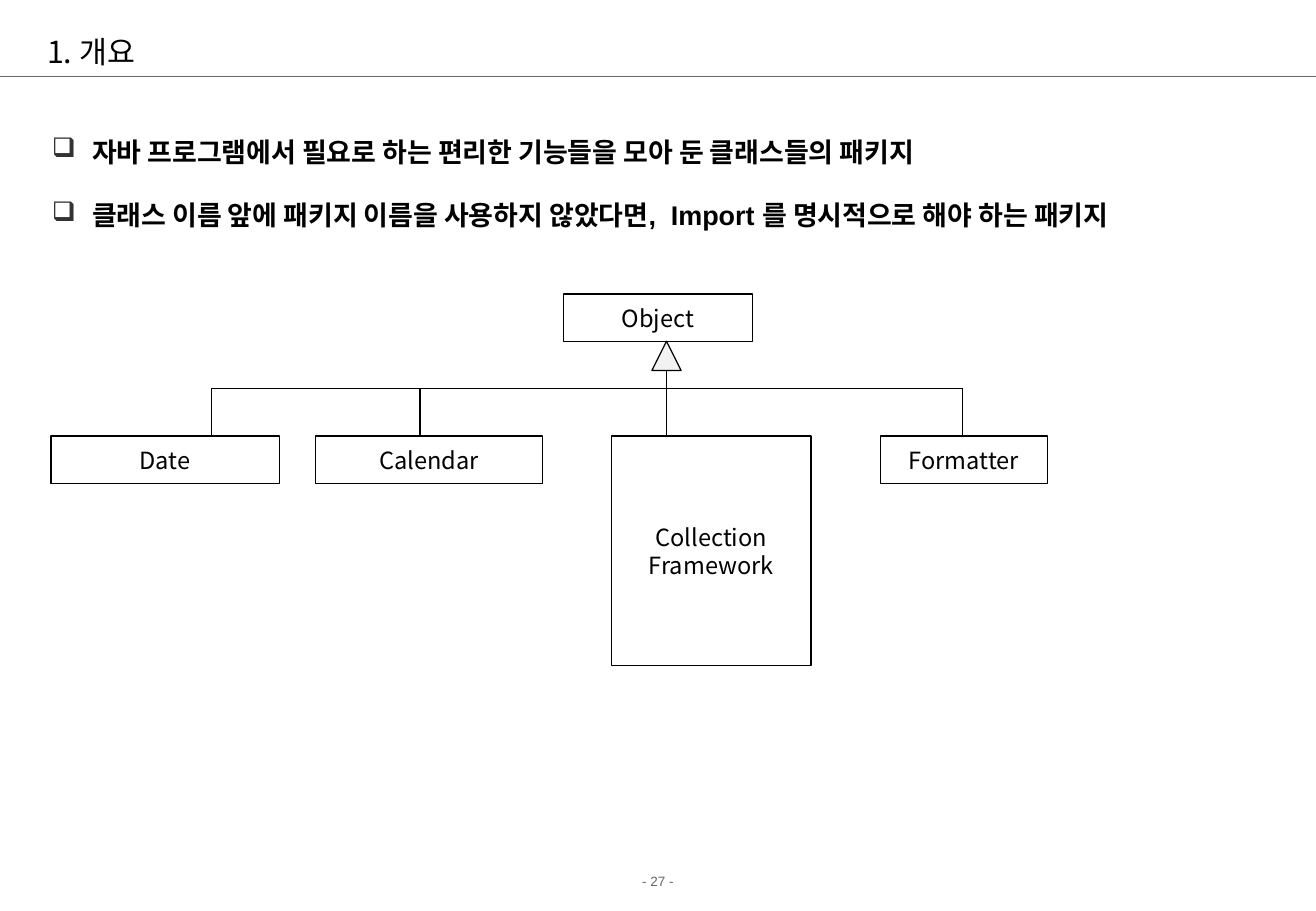
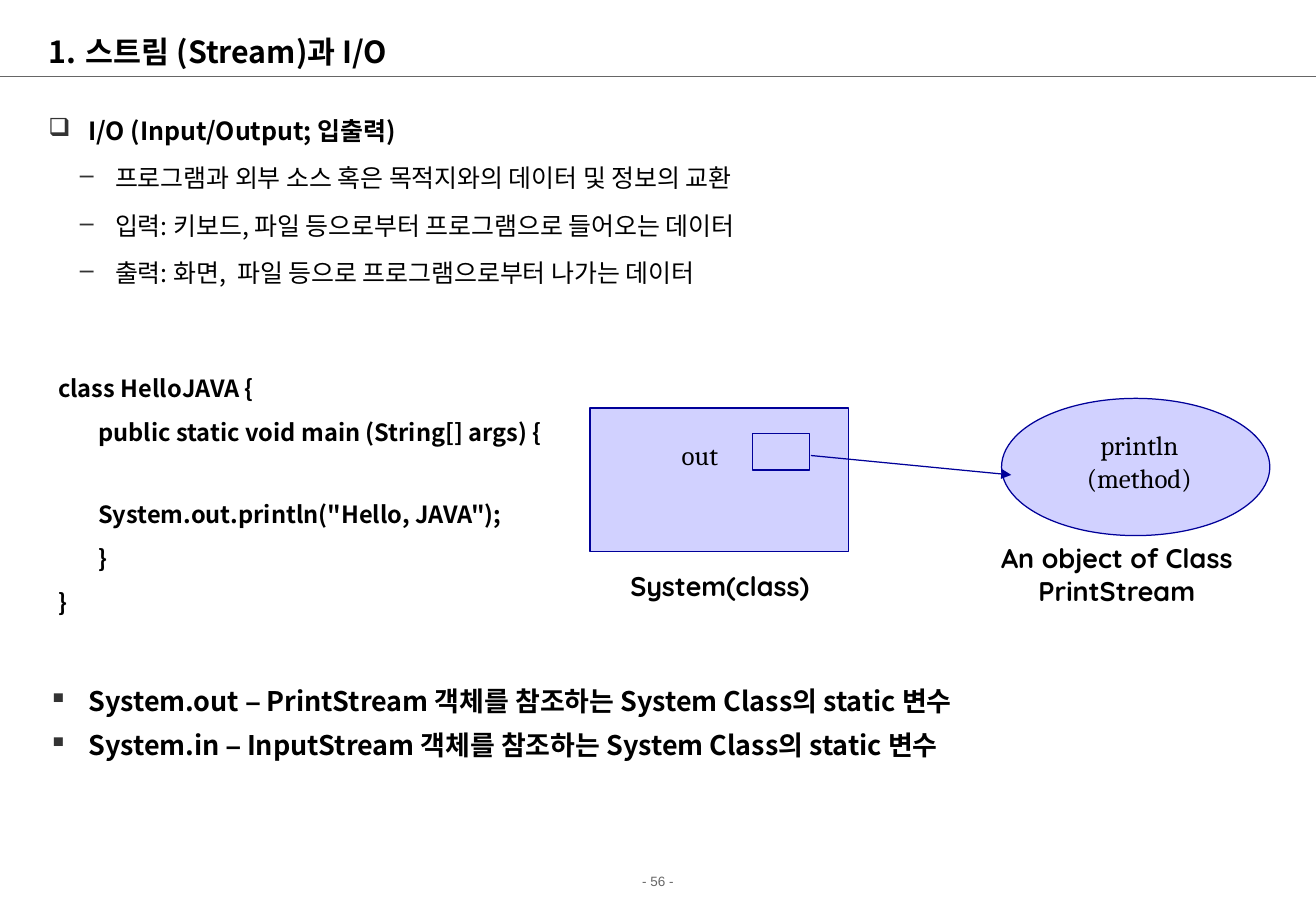
"""Build two lecture slides: a class tree, and streams with I/O."""
from dataclasses import dataclass

from lxml import etree
from pptx import Presentation
from pptx import util as u
from pptx.dml.color import RGBColor
from pptx.enum import shapes, text
from pptx.oxml.ns import qn


@dataclass(frozen=True)
class Theme:
    cell: int = u.Inches(0.1)
    cols: float = 108.4
    rows: float = 75
    black: str = "000000"
    grey: str = "666666"
    mark: str = "333333"
    white: str = "FFFFFF"
    pale: str = "F2F2F2"
    navy: str = "000099"
    lilac: str = "D1D1FF"
    sans: str = "Arial"
    hangul: str = "Noto Sans CJK KR"
    serif: str = "Cambria"
    round: str = "Quicksand"
    title: float = 18
    lead: float = 16
    head: float = 14.8
    base: float = 14
    foot: float = 8
    rule: float = 0.75


T = Theme()
MID = text.PP_ALIGN.CENTER
PAD = (1, 0.5)
TITLE = dict(size=T.title)
LEAD = dict(size=T.lead, font=T.sans, bold=True, line=1.7, gap=5,
            left=3.3, hang=3.3, mark="❑")
HEAD = dict(LEAD, size=T.head, font=T.hangul, line=1.3)
ITEM = dict(HEAD, bold=False, left=5.5, hang=2.9, mark="–")
NOTE = dict(LEAD, font=T.hangul, line=1.1, mark="▪")
CODE = dict(bold=True, line=1.3, gap=4.4)
STEP = dict(CODE, left=3.3)
CALL = dict(STEP, gap=26.4)
LABEL = dict(size=T.lead, font=T.serif, align=MID)
NAME = dict(LABEL, font=T.round, bold=True)
NODE = dict(align=MID)
FOOT = dict(size=T.foot, font=T.sans, color=T.grey, align=MID)

INTRO = [
    ("자바 프로그램에서 필요로 하는 편리한 기능들을 모아 둔 클래스들의 패키지", LEAD),
    ("클래스 이름 앞에 패키지 이름을 사용하지 않았다면,  Import 를 명시적으로 해야 하는 패키지", LEAD),
]
ROOT = ("Object", 46.4, 15.6)
KIDS = [
    (["Date"], 4.2, 18.8, 3.9, 17.4),
    (["Calendar"], 26, 18.7, 3.9, 34.6),
    (["Collection", "Framework"], 50.4, 16.4, 18.9, 54.9),
    (["Formatter"], 72.5, 13.8, 3.9, 79.3),
]
STREAM = [
    ("I/O (Input/Output; 입출력)", HEAD),
    ("프로그램과 외부 소스 혹은 목적지와의 데이터 및 정보의 교환", ITEM),
    ("입력: 키보드, 파일 등으로부터 프로그램으로 들어오는 데이터", ITEM),
    ("출력: 화면,  파일 등으로 프로그램으로부터 나가는 데이터", ITEM),
]
HELLO = [
    ("class HelloJAVA {", CODE),
    ("public static void main (String[] args) {", STEP),
    ('System.out.println("Hello, JAVA");', CALL),
    ("}", STEP),
    ("}", CODE),
]
NOTES = [
    ([("System." + port + " ", T.hangul), ("–", T.sans),
      (" " + kind + " 객체를 참조하는 System Class의 static 변수", T.hangul)], NOTE)
    for port, kind in [("out", "PrintStream"), ("in", "InputStream")]
]
LABELS = [
    ("System(class)", (47.1, 46.9, 24.4, 2.7), NAME),
    ("out", (54.9, 36.1, 5.5, 2.7), LABEL),
    ("println (method)", (87.5, 35.3, 12.7, 5.3), LABEL),
    ("An object of Class PrintStream", (78.6, 44.6, 26.8, 5.3), NAME),
]


def at(*cells):
    return [round(c * T.cell) for c in cells]


def rgb(code):
    return RGBColor.from_string(code)


def bullet(par, mark):
    props = par._p.get_or_add_pPr()
    tint = etree.SubElement(props, qn("a:buClr"))
    shade = T.black if mark == "1." else T.mark
    etree.SubElement(tint, qn("a:srgbClr"), val=shade)
    if mark == "1.":
        etree.SubElement(props, qn("a:buAutoNum"), type="arabicPeriod")
    else:
        etree.SubElement(props, qn("a:buChar"), char=mark)


def write(par, words, first, size=T.base, font=T.hangul, color=T.black,
          bold=False, line=None, gap=0, left=0, hang=0, mark=None, align=None):
    if mark:
        bullet(par, mark)
    props = par._p.get_or_add_pPr()
    props.set("marL", str(round(left * T.cell)))
    props.set("indent", str(round(-hang * T.cell)))
    if line:
        par.line_spacing = line
    par.space_before = u.Pt(0 if first else gap)
    if align is not None:
        par.alignment = align
    runs = [(words, font)] if isinstance(words, str) else words
    for part, face in runs:
        run = par.add_run()
        run.text = part
        run.font.size = u.Pt(size)
        run.font.bold = bold
        run.font.color.rgb = rgb(color)
        run.font.name = face
        asian = T.hangul if face == T.sans else face
        etree.SubElement(run._r.get_or_add_rPr(), qn("a:ea"), typeface=asian)


def fill(shape, pars, pad=(0, 0), middle=False):
    frame = shape.text_frame
    frame.word_wrap = True
    frame.margin_left = frame.margin_right = at(pad[0])[0]
    frame.margin_top = frame.margin_bottom = at(pad[1])[0]
    anchor = text.MSO_ANCHOR
    frame.vertical_anchor = anchor.MIDDLE if middle else anchor.TOP
    for i, (words, style) in enumerate(pars):
        par = frame.add_paragraph() if i else frame.paragraphs[0]
        write(par, words, i == 0, **style)


def box(slide, place, pars, pad=PAD, middle=False):
    fill(slide.shapes.add_textbox(*at(*place)), pars, pad, middle)


def draw(slide, kind, place, back=T.white, edge=T.black):
    shape = slide.shapes.add_shape(kind, *at(*place))
    shape.shadow.inherit = False
    shape.fill.solid()
    shape.fill.fore_color.rgb = rgb(back)
    shape.line.color.rgb = rgb(edge)
    shape.line.width = u.Pt(T.rule)
    return shape


def link(slide, ends, color=T.black, arrow=False):
    line = slide.shapes.add_connector(shapes.MSO_CONNECTOR.STRAIGHT, *at(*ends))
    line.line.color.rgb = rgb(color)
    line.line.width = u.Pt(T.rule)
    if arrow:
        etree.SubElement(line.line._get_or_add_ln(), qn("a:tailEnd"), type="triangle")
    etree.SubElement(line._element.spPr, qn("a:effectLst"))


def start(deck, words, style, page, left):
    slide = deck.slides.add_slide(deck.slide_layouts[6])
    link(slide, (0, 6.3, T.cols, 6.3), T.grey)
    box(slide, (left, 2.1, 101.7, 4.2), [(words, style)], middle=True)
    box(slide, (0, 71.4, T.cols, 2.4), [(f"- {page} -", FOOT)])
    return slide


def tree(deck):
    slide = start(deck, "1. 개요", TITLE, 27, 2.9)
    box(slide, (3.3, 8.8, 101.7, 12), INTRO)
    rect = shapes.MSO_SHAPE.RECTANGLE
    name, left, wide = ROOT
    top, bus, base, high = 28.1, 32, 35.9, 3.9
    root = draw(slide, rect, (left, top - high, wide, high))
    fill(root, [(name, NODE)], middle=True)
    for names, left, wide, tall, stem in KIDS:
        kid = draw(slide, rect, (left, base, wide, tall))
        fill(kid, [(n, NODE) for n in names], middle=True)
        link(slide, (stem, bus, stem, base))
    stems = [kid[-1] for kid in KIDS]
    link(slide, (stems[0], bus, stems[-1], bus))
    tip = stems[2]
    link(slide, (tip, top, tip, bus))
    draw(slide, shapes.MSO_SHAPE.ISOSCELES_TRIANGLE,
         (tip - 1.2, top, 2.4, 2.4), T.pale)


def stream(deck):
    style = dict(TITLE, bold=True, left=3.1, hang=3.1, mark="1.")
    slide = start(deck, "스트림 (Stream)과 I/O", style, 56, 3)
    box(slide, (3, 8.3, 101.7, 15), STREAM)
    box(slide, (3.8, 29.6, 42.5, 21.3), HELLO)
    box(slide, (3, 55.6, 101.7, 11.8), NOTES)
    kind = shapes.MSO_SHAPE
    for form, place in [(kind.RECTANGLE, (48.6, 33.6, 21.3, 11.8)),
                        (kind.RECTANGLE, (62, 35.7, 4.7, 3)),
                        (kind.OVAL, (82.5, 32.8, 22.1, 11.3))]:
        draw(slide, form, place, T.lilac, T.navy)
    for words, place, look in LABELS:
        box(slide, place, [(words, look)], (0, 0))
    link(slide, (66.8, 37.5, 83.3, 39.1), T.navy, True)


def main():
    deck = Presentation()
    deck.slide_width, deck.slide_height = at(T.cols, T.rows)
    tree(deck)
    stream(deck)
    deck.save("out.pptx")


if __name__ == "__main__":
    main()
